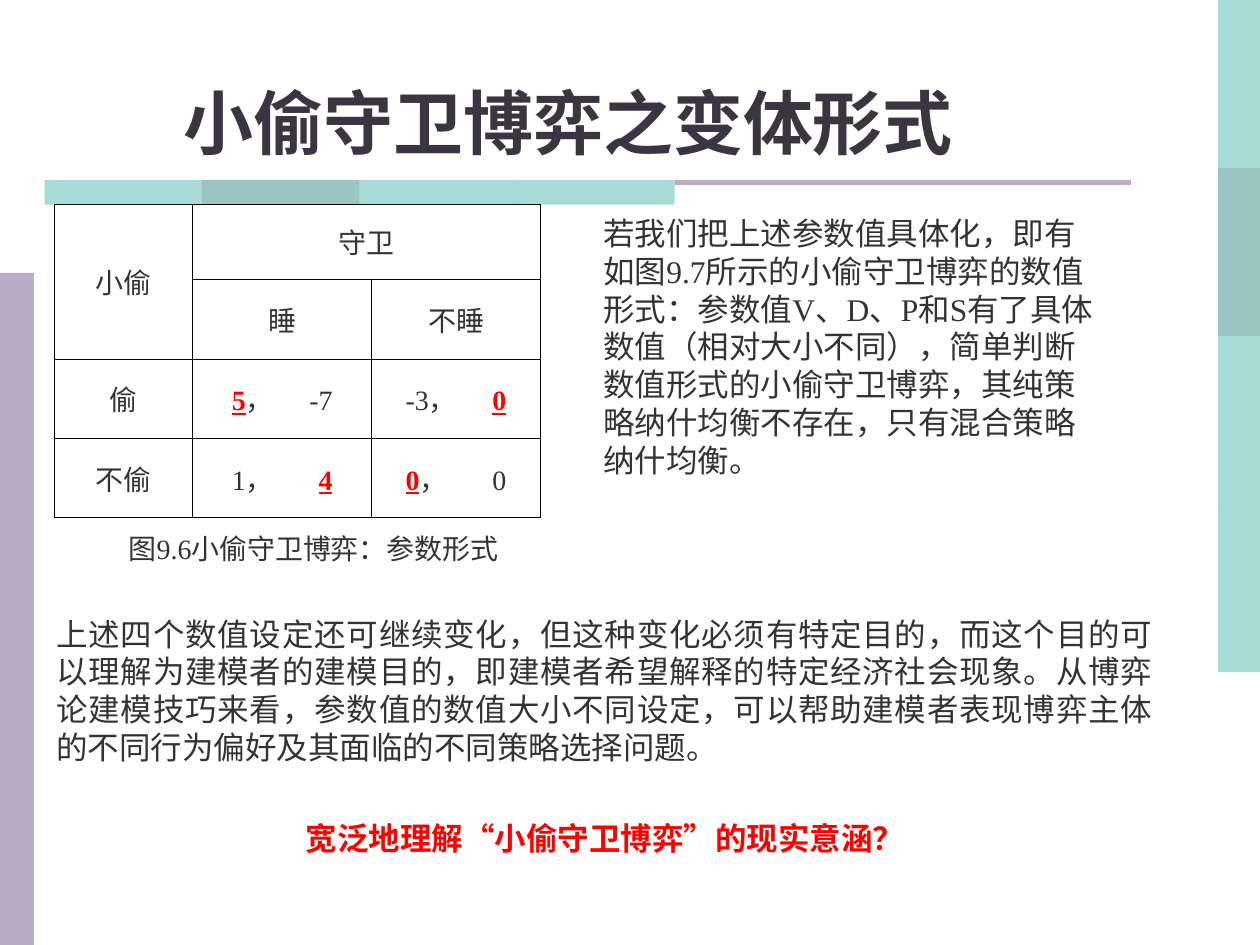
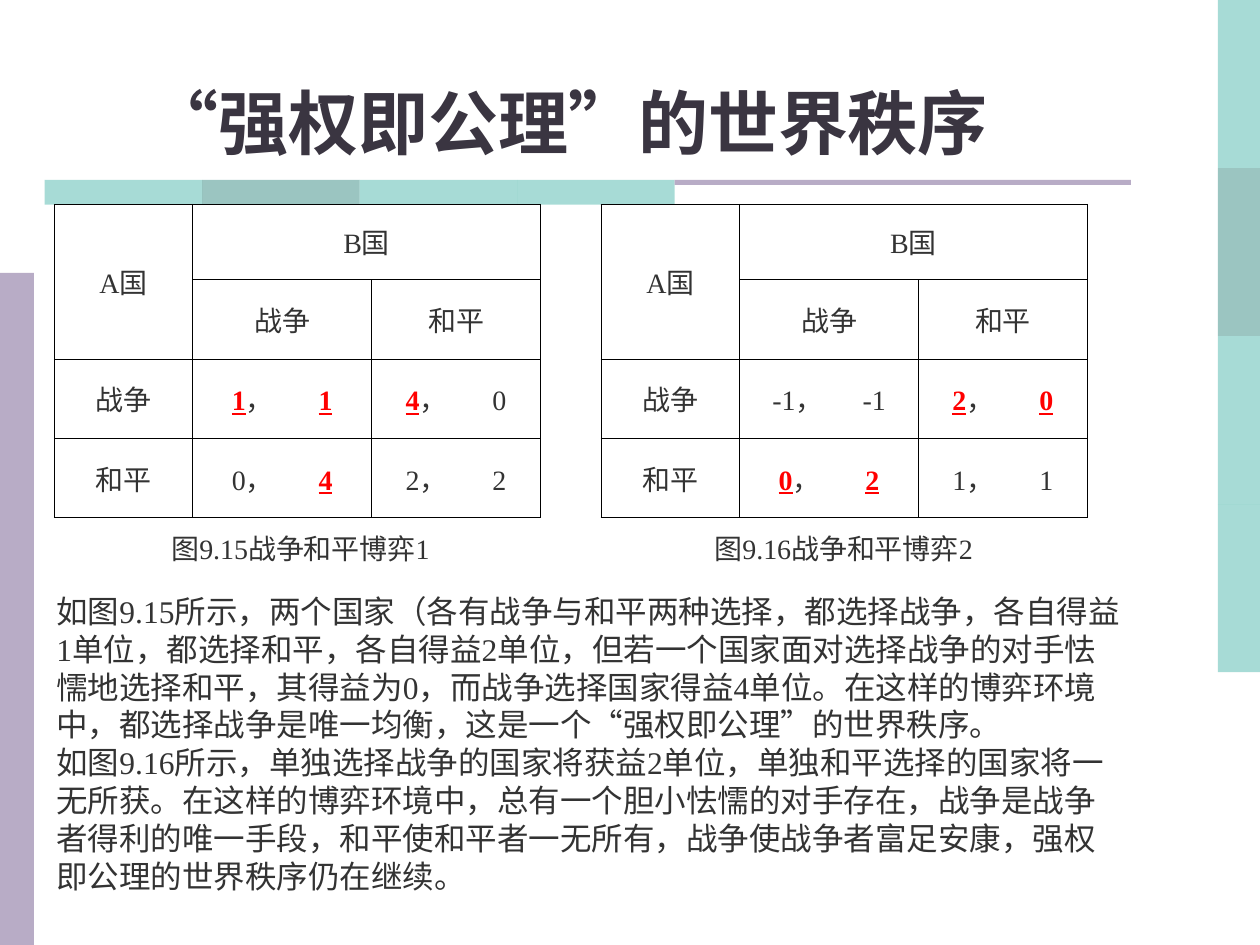
from dataclasses import dataclass
from typing import Union

from lxml.etree import SubElement
from pptx import Presentation
from pptx.dml.color import RGBColor
from pptx.enum.lang import MSO_LANGUAGE_ID
from pptx.enum.shapes import MSO_SHAPE
from pptx.enum.text import MSO_ANCHOR, MSO_AUTO_SIZE, PP_ALIGN
from pptx.oxml.ns import qn
from pptx.util import Emu, Inches, Pt

WIDTH, HEIGHT = Inches(10), Inches(7.5)


@dataclass(frozen=True)
class Theme:
    """Colours, fonts and type sizes of the deck."""
    teal: str = "51B9AF"
    deep_teal: str = "398D85"
    lilac: str = "B8ACC6"
    heading: str = "3A3541"
    ink: str = "333333"
    accent: str = "FF0000"
    rule: str = "000000"
    serif: str = "Times New Roman"
    slab: str = "Roboto Slab"
    cjk: str = "Noto Sans CJK SC"
    title_size: float = 40
    body_size: float = 18
    table_size: float = 16
    leading: float = 1.2
    drop: float = 0.11
    border: float = 0.45


T = Theme()


@dataclass(frozen=True)
class Box:
    """Rectangle in percent of the slide's width and height."""
    x: float
    y: float
    w: float
    h: float

    def emu(self) -> tuple[Emu, Emu, Emu, Emu]:
        """Return left, top, width and height as lengths."""
        return across(self.x), down(self.y), across(self.w), down(self.h)


@dataclass(frozen=True)
class Style:
    """Look of a run of text."""
    size: float = T.body_size
    color: str = T.ink
    font: str = T.serif
    bold: bool = False
    underline: bool = False


@dataclass(frozen=True)
class Para:
    """Paragraph of one run."""
    text: str
    style: Style = Style()
    align: PP_ALIGN = PP_ALIGN.LEFT
    before: float = 0


Cell = Union[str, tuple[str, str]]


@dataclass(frozen=True)
class Game:
    """Payoff table; a star marks a best response."""
    x: float
    players: tuple[str, str]
    moves: tuple[str, str]
    payoffs: tuple[tuple[Cell, Cell], tuple[Cell, Cell]]


TITLE = Style(T.title_size, T.heading, bold=True)
LABEL = Style(T.table_size)
BEST = Style(T.table_size, T.accent, bold=True, underline=True)
SLAB = Style(font=T.slab)
QUESTION = Style(color=T.accent, font=T.cjk, bold=True)
COLUMNS = (11, 14.2, 13.4)
ROWS = (8, 8.4, 8.4, 8.4)
TABLE_TOP = 21.6


def across(share: float) -> Emu:
    """Convert a percentage of the slide's width."""
    return Emu(round(WIDTH * share / 100))


def down(share: float) -> Emu:
    """Convert a percentage of the slide's height."""
    return Emu(round(HEIGHT * share / 100))


def add_run(p, text: str, style: Style) -> None:
    """Append a styled run to a paragraph."""
    r = p.add_run()
    r.text = text
    f = r.font
    f.size, f.name = Pt(style.size), style.font
    f.bold, f.underline = style.bold, style.underline
    f.color.rgb = RGBColor.from_string(style.color)
    f.language_id = MSO_LANGUAGE_ID.SIMPLIFIED_CHINESE
    SubElement(r._r.get_or_add_rPr(), qn("a:ea")).set("typeface", T.cjk)


def set_margins(target, size: float, side: Emu = Inches(0.1)) -> None:
    """Set the insets, lowering the text to sit on its optical line."""
    drop = Pt(size * T.drop)
    target.margin_left, target.margin_right = side, Inches(0.1)
    target.margin_top = Inches(0.05) + drop
    target.margin_bottom = max(0, Inches(0.05) - drop)


def add_bar(s, box: Box, color: str, alpha: int = 100) -> None:
    """Draw a plain rectangle."""
    sp = s.shapes.add_shape(MSO_SHAPE.RECTANGLE, *box.emu())
    sp.shadow.inherit = False
    sp.line.fill.background()
    sp.fill.solid()
    sp.fill.fore_color.rgb = RGBColor.from_string(color)
    if alpha < 100:
        clr = sp._element.spPr.find(qn("a:solidFill"))[0]
        SubElement(clr, qn("a:alpha")).set("val", str(alpha * 1000))


def add_text(s, box: Box, paras: list[Para], wrap: bool = True,
             anchor: MSO_ANCHOR = MSO_ANCHOR.TOP) -> None:
    """Add a text box."""
    tf = s.shapes.add_textbox(*box.emu()).text_frame
    tf.word_wrap, tf.vertical_anchor = wrap, anchor
    tf.auto_size = MSO_AUTO_SIZE.NONE if wrap else MSO_AUTO_SIZE.SHAPE_TO_FIT_TEXT
    set_margins(tf, paras[0].style.size)
    for i, para in enumerate(paras):
        p = tf.add_paragraph() if i else tf.paragraphs[0]
        p.alignment = para.align
        p.line_spacing = Pt(para.style.size * T.leading)
        p.space_before = Pt(para.before)
        add_run(p, para.text, para.style)


def add_caption(s, x: float, w: float, text: str) -> None:
    """Add the caption below a payoff table."""
    add_text(s, Box(x, 55.2, w, 4.93), [Para(text, LABEL, PP_ALIGN.CENTER)], wrap=False)


def set_borders(cell) -> None:
    """Give a cell thin rules on all sides and no fill."""
    tcPr = cell._tc.get_or_add_tcPr()
    for side in ("a:lnL", "a:lnR", "a:lnT", "a:lnB"):
        ln = SubElement(tcPr, qn(side), w=str(Pt(T.border)))
        SubElement(SubElement(ln, qn("a:solidFill")), qn("a:srgbClr")).set("val", T.rule)
    cell.fill.background()


def fill_cell(cell, content: Cell, width: float) -> None:
    """Write a centred label or a pair of payoffs."""
    cell.vertical_anchor = MSO_ANCHOR.MIDDLE
    p = cell.text_frame.paragraphs[0]
    p.line_spacing = Pt(T.table_size * T.leading)
    if isinstance(content, str):
        set_margins(cell, T.table_size)
        p.alignment = PP_ALIGN.CENTER
        add_run(p, content, LABEL)
        return
    pair = 9 if all(v.startswith("-") for v in content) else 8
    set_margins(cell, T.table_size, across((width - pair) / 2))
    p.alignment = PP_ALIGN.LEFT
    tabs = SubElement(p._p.get_or_add_pPr(), qn("a:tabLst"))
    SubElement(tabs, qn("a:tab"), pos=str(across(pair)), algn="r")
    first, second = ((v.strip("*"), BEST if "*" in v else LABEL) for v in content)
    add_run(p, *first)
    add_run(p, "，\t", LABEL)
    add_run(p, *second)


def add_game(s, game: Game) -> None:
    """Draw a two-player payoff table."""
    box = Box(game.x, TABLE_TOP, sum(COLUMNS), sum(ROWS))
    tbl = s.shapes.add_table(len(ROWS), len(COLUMNS), *box.emu()).table
    tbl.first_row = tbl.horz_banding = False
    for col, w in zip(tbl.columns, COLUMNS):
        col.width = across(w)
    for row, h in zip(tbl.rows, ROWS):
        row.height = down(h)
    for cell in tbl.iter_cells():
        set_borders(cell)
    tbl.cell(0, 0).merge(tbl.cell(1, 0))
    tbl.cell(0, 1).merge(tbl.cell(0, 2))
    grid = [(*game.players, None), (None, *game.moves)]
    grid += [(move, *pays) for move, pays in zip(game.moves, game.payoffs)]
    for i, line in enumerate(grid):
        for j, content in enumerate(line):
            if content is not None:
                fill_cell(tbl.cell(i, j), content, COLUMNS[j])


def add_base(prs, title: str):
    """Add a slide with the shared bands and title."""
    s = prs.slides.add_slide(prs.slide_layouts[6])
    for i, color in enumerate((T.teal, T.deep_teal, T.teal, T.teal)):
        add_bar(s, Box(96.67, i * 17.78, 3.33, 17.78), color, 50)
        add_bar(s, Box(3.55 + i * 12.5, 19.03, 12.5, 2.63), color, 50)
    add_bar(s, Box(0, 28.89, 2.7, 71.11), T.lilac)
    add_bar(s, Box(53.55, 19.03, 36.2, 0.55), T.lilac)
    add_text(s, Box(0, 5.87, 90.2, 11.47), [Para(title, TITLE, PP_ALIGN.CENTER)],
             anchor=MSO_ANCHOR.BOTTOM)
    return s


def build_thief(prs) -> None:
    """Build the thief and guard slide."""
    s = add_base(prs, "小偷守卫博弈之变体形式")
    add_text(s, Box(3.5, 64, 89, 27.07), [
        Para("上述四个数值设定还可继续变化，但这种变化必须有特定目的，而这个目的可以理解为建模者的"
             "建模目的，即建模者希望解释的特定经济社会现象。从博弈论建模技巧来看，参数值的数值大小"
             "不同设定，可以帮助建模者表现博弈主体的不同行为偏好及其面临的不同策略选择问题。",
             SLAB, PP_ALIGN.JUSTIFY, 4.5),
        Para("宽泛地理解“小偷守卫博弈”的现实意涵？", QUESTION, PP_ALIGN.CENTER, 30.6)])
    thief = Game(4.3, ("小偷", "守卫"), ("睡", "不睡"),
                 ((("*5", "-7"), ("-3", "*0")), (("1", "*4"), ("*0", "0"))))
    add_game_with_rows(s, thief, ("偷", "不偷"))
    add_caption(s, 8.7, 32.4, "图9.6小偷守卫博弈：参数形式")
    add_text(s, Box(46.9, TABLE_TOP, 41.7, 29.33), [
        Para("若我们把上述参数值具体化，即有如图9.7所示的小偷守卫博弈的数值形式：参数值V、D、P和S"
             "有了具体数值（相对大小不同），简单判断数值形式的小偷守卫博弈，其纯策略纳什均衡不存在，"
             "只有混合策略纳什均衡。")])


def add_game_with_rows(s, game: Game, row_moves: tuple[str, str]) -> None:
    """Draw a payoff table whose row player has moves of its own."""
    add_game(s, game)
    tbl = s.shapes[-1].table
    for i, move in enumerate(row_moves, start=2):
        tbl.cell(i, 0).text_frame.paragraphs[0].runs[0].text = move


def build_power(prs) -> None:
    """Build the war and peace slide."""
    s = add_base(prs, "“强权即公理”的世界秩序")
    add_text(s, Box(3.5, 61.6, 86.6, 33.33), [
        Para("如图9.15所示，两个国家（各有战争与和平两种选择，都选择战争，各自得益1单位，都选择和平，"
             "各自得益2单位，但若一个国家面对选择战争的对手怯懦地选择和平，其得益为0，而战争选择国家"
             "得益4单位。在这样的博弈环境中，都选择战争是唯一均衡，这是一个“强权即公理”的世界秩序。"),
        Para("如图9.16所示，单独选择战争的国家将获益2单位，单独和平选择的国家将一无所获。在这样的"
             "博弈环境中，总有一个胆小怯懦的对手存在，战争是战争者得利的唯一手段，和平使和平者一无"
             "所有，战争使战争者富足安康，强权即公理的世界秩序仍在继续。")])
    players, moves = ("A国", "B国"), ("战争", "和平")
    add_game(s, Game(4.3, players, moves,
                     ((("*1", "*1"), ("*4", "0")), (("0", "*4"), ("2", "2")))))
    add_game(s, Game(47.7, players, moves,
                     ((("-1", "-1"), ("*2", "*0")), (("*0", "*2"), ("1", "1")))))
    add_caption(s, 11.8, 24.1, "图9.15战争和平博弈1")
    add_caption(s, 54.9, 24.1, "图9.16战争和平博弈2")


def main() -> None:
    """Build and save the deck."""
    prs = Presentation()
    prs.slide_width, prs.slide_height = WIDTH, HEIGHT
    build_thief(prs)
    build_power(prs)
    prs.save("out.pptx")


if __name__ == "__main__":
    main()
